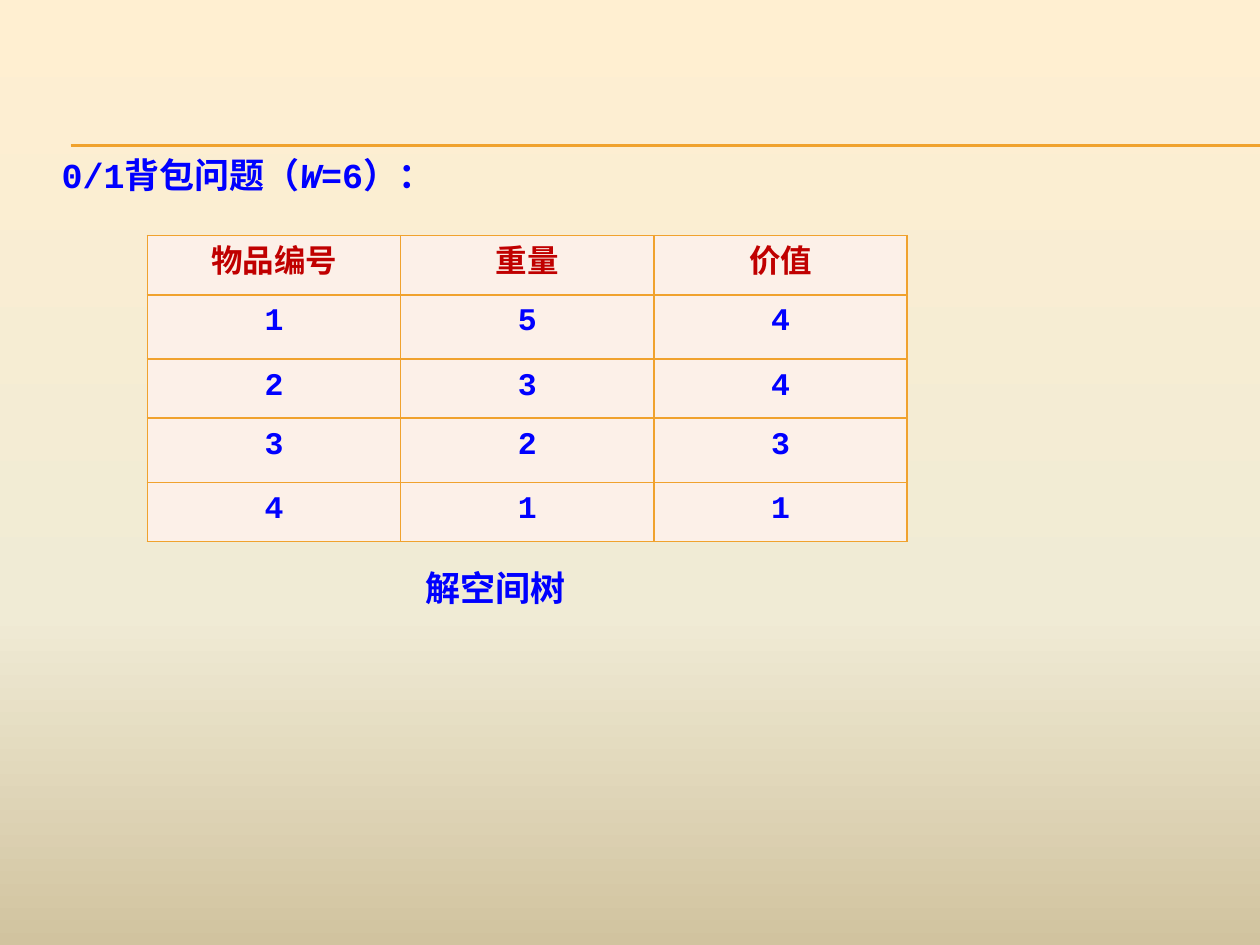
from dataclasses import dataclass

from lxml import etree
from pptx import Presentation
from pptx import util as u
from pptx.dml.color import RGBColor
from pptx.enum import shapes, text
from pptx.oxml.ns import qn


@dataclass(frozen=True)
class Theme:
    blue: str = "0000FF"
    red: str = "C00000"
    gold: str = "F0A22E"
    cell: str = "FCF0E8"
    back: tuple = ((0, "FFEFD1"), (65, "F0EBD5"), (100, "D1C39F"))
    mono: str = "Courier New"
    sans: str = "Noto Sans CJK SC"
    body: int = 20
    grid: int = 18
    lead: int = 26
    rule: float = 0.75
    edge: int = 1


def put(obj, vals):
    for key, val in vals.items():
        setattr(obj, key, val)


def sub(node, tag, **vals):
    return etree.SubElement(node, qn(tag), vals)


def tint(node, color):
    sub(node, "a:srgbClr", val=color)


class Page:
    def __init__(self, slide, theme):
        self.slide = slide
        self.theme = theme

    def back(self):
        fill = self.slide.background.fill
        fill.gradient()
        fill.gradient_angle = 270
        stops = next(self.slide.element.iter(qn("a:gsLst")))
        for stop in list(stops):
            stops.remove(stop)
        for pos, color in self.theme.back:
            tint(sub(stops, "a:gs", pos=str(pos * 1000)), color)

    def rule(self, left, right, top):
        ends = [u.Inches(n) for n in (left, top, right, top)]
        line = self.slide.shapes.add_connector(shapes.MSO_CONNECTOR.STRAIGHT, *ends)
        line.line.color.rgb = RGBColor.from_string(self.theme.gold)
        line.line.width = u.Pt(self.theme.rule)
        sub(line.element.spPr, "a:effectLst")

    def run(self, para, words, size, color, face, slant=False):
        run = para.add_run()
        run.text = words
        put(run.font, {"size": u.Pt(size), "bold": True, "italic": slant, "name": face})
        run.font.color.rgb = RGBColor.from_string(color)
        sub(run.font._element, "a:ea", typeface=self.theme.sans)

    def label(self, box, runs, face):
        frame = self.slide.shapes.add_textbox(*map(u.Inches, box)).text_frame
        put(frame, {"word_wrap": True, "auto_size": text.MSO_AUTO_SIZE.SHAPE_TO_FIT_TEXT})
        for words, slant in runs:
            self.run(frame.paragraphs[0], words, self.theme.body, self.theme.blue, face, slant)

    def cell(self, cell, words, color):
        look = self.theme
        put(cell, {"margin_left": u.Inches(0.1), "margin_right": u.Inches(0.1),
                   "margin_top": 0, "margin_bottom": 0})
        para = cell.text_frame.paragraphs[0]
        put(para, {"alignment": text.PP_ALIGN.CENTER, "line_spacing": u.Pt(look.lead)})
        self.run(para, words, look.grid, color, look.mono)
        props = cell._tc.get_or_add_tcPr()
        for side in "LRTB":
            edge = sub(props, f"a:ln{side}", w=str(u.Pt(look.edge)))
            tint(sub(edge, "a:solidFill"), look.gold)
        cell.fill.solid()
        cell.fill.fore_color.rgb = RGBColor.from_string(look.cell)

    def table(self, left, top, wide, highs, rows):
        box = [u.Inches(n) for n in (left, top, wide * len(rows[0]), sum(highs))]
        table = self.slide.shapes.add_table(len(rows), len(rows[0]), *box).table
        put(table, {"first_row": False, "horz_banding": False})
        for col in table.columns:
            col.width = u.Inches(wide)
        for i, (high, row) in enumerate(zip(highs, rows)):
            table.rows[i].height = u.Inches(high)
            color = self.theme.blue if i else self.theme.red
            for j, words in enumerate(row):
                self.cell(table.cell(i, j), words, color)


def main():
    deck = Presentation()
    put(deck, {"slide_width": u.Inches(10), "slide_height": u.Inches(7.5)})
    theme = Theme()
    page = Page(deck.slides.add_slide(deck.slide_layouts[6]), theme)
    page.back()
    for top in (1.15, 1.16):
        page.rule(0.56, 10, top)
    items = (("物品编号", "重量", "价值"), "154", "234", "323", "411")
    page.table(1.17, 1.87, 2.01, (0.47, 0.51, 0.47, 0.51, 0.47), items)
    page.label((0.39, 1.17, 3.83, 0.44),
               (("0/1背包问题（", False), ("W", True), ("=6）：", False)), theme.mono)
    page.label((3.28, 4.45, 1.72, 0.44), (("解空间树", False),), theme.sans)
    deck.save("out.pptx")


if __name__ == "__main__":
    main()
